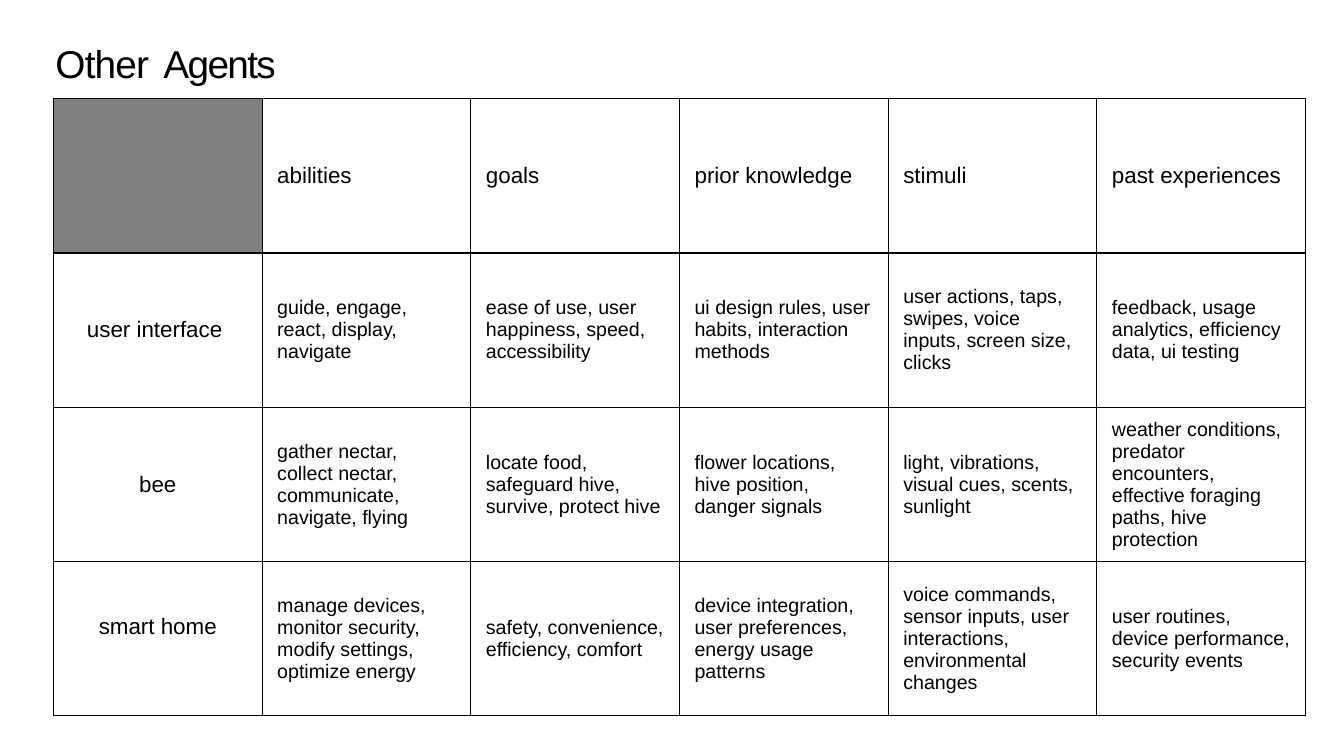
from dataclasses import dataclass

from lxml.etree import SubElement
from pptx import Presentation
from pptx.dml.color import RGBColor
from pptx.enum.text import MSO_ANCHOR, MSO_AUTO_SIZE, PP_ALIGN
from pptx.oxml.ns import qn
from pptx.util import Inches, Pt


@dataclass(frozen=True)
class Theme:
    font: str = "Arial"
    ink: str = "000000"
    paper: str = "FFFFFF"
    corner: str = "808080"
    title_size: float = 27.7
    heading_size: float = 16
    body_size: float = 14
    border_width: float = 1


theme = Theme()


def format_run(run, size):
    values = {"name": theme.font, "size": Pt(size), "bold": False}
    for name, value in values.items():
        setattr(run.font, name, value)
    run.font.color.rgb = RGBColor.from_string(theme.ink)


def add_borders(cell):
    properties = cell._tc.get_or_add_tcPr()
    for position, side in enumerate(("a:lnL", "a:lnR", "a:lnT", "a:lnB")):
        line = properties.makeelement(qn(side), {"w": str(Pt(theme.border_width))})
        fill = SubElement(line, qn("a:solidFill"))
        SubElement(fill, qn("a:srgbClr"), val=theme.ink)
        # Borders must come before the cell fill
        properties.insert(position, line)


presentation = Presentation()
presentation.slide_width = Inches(13.33)
presentation.slide_height = Inches(7.5)
slide = presentation.slides.add_slide(presentation.slide_layouts[5])

# Title
title = slide.shapes.title
title.left, title.top = Inches(0.52), Inches(-0.1)
title.width, title.height = Inches(11.5), Inches(1.45)
title_format = {
    "margin_left": 0, "margin_right": 0, "margin_top": 0, "margin_bottom": 0,
    "vertical_anchor": MSO_ANCHOR.MIDDLE, "word_wrap": True,
    "auto_size": MSO_AUTO_SIZE.NONE,
}
for name, value in title_format.items():
    setattr(title.text_frame, name, value)
paragraph = title.text_frame.paragraphs[0]
paragraph.alignment = PP_ALIGN.LEFT
paragraph._p.get_or_add_pPr().set("marL", str(Inches(0.03)))

# Letter spacing is in hundredths of a point
for text, spacing in (("Other", -60), (" ", 240), ("Agents", -120)):
    run = paragraph.add_run()
    run.text = text
    format_run(run, theme.title_size)
    run.font._element.set("spc", str(spacing))

# Agent table
agents = [
    ["", "abilities", "goals", "prior knowledge", "stimuli", "past experiences"],
    ["user interface ",
     "guide, engage, react, display, navigate",
     "ease of use, user happiness, speed, accessibility",
     "ui design rules, user habits, interaction methods",
     "user actions, taps, swipes, voice inputs, screen size, clicks",
     "feedback, usage analytics, efficiency data, ui testing"],
    ["bee",
     "gather nectar, collect nectar, communicate, navigate, flying",
     "locate food, safeguard hive, survive, protect hive",
     "flower locations, hive position, danger signals",
     "light, vibrations, visual cues, scents, sunlight",
     "weather conditions, predator encounters, effective foraging paths, hive protection"],
    ["smart home",
     "manage devices, monitor security, modify settings, optimize energy",
     "safety, convenience, efficiency, comfort",
     "device integration, user preferences, energy usage patterns",
     "voice commands, sensor inputs, user interactions, environmental changes",
     "user routines, device performance, security events"],
]
table = slide.shapes.add_table(
    len(agents), len(agents[0]),
    Inches(0.53), Inches(0.98), Inches(12.42), Inches(6.12),
).table
table.first_row = False
table.horz_banding = False
cell_format = {
    "margin_left": Inches(0.15), "margin_right": Inches(0.15),
    "margin_top": Inches(0.08), "margin_bottom": Inches(0.08),
    "vertical_anchor": MSO_ANCHOR.MIDDLE,
}

for row_index, row in enumerate(agents):
    for column_index, text in enumerate(row):
        cell = table.cell(row_index, column_index)
        for name, value in cell_format.items():
            setattr(cell, name, value)
        is_corner = row_index == 0 and column_index == 0
        cell.fill.solid()
        cell.fill.fore_color.rgb = RGBColor.from_string(
            theme.corner if is_corner else theme.paper)
        add_borders(cell)
        if is_corner:
            continue
        paragraph = cell.text_frame.paragraphs[0]
        paragraph.alignment = PP_ALIGN.CENTER if column_index == 0 else PP_ALIGN.LEFT
        run = paragraph.add_run()
        run.text = text
        is_heading = row_index == 0 or column_index == 0
        format_run(run, theme.heading_size if is_heading else theme.body_size)

# The last row label sits half a line higher
table.cell(len(agents) - 1, 0).margin_bottom = Inches(0.32)

presentation.save("out.pptx")
